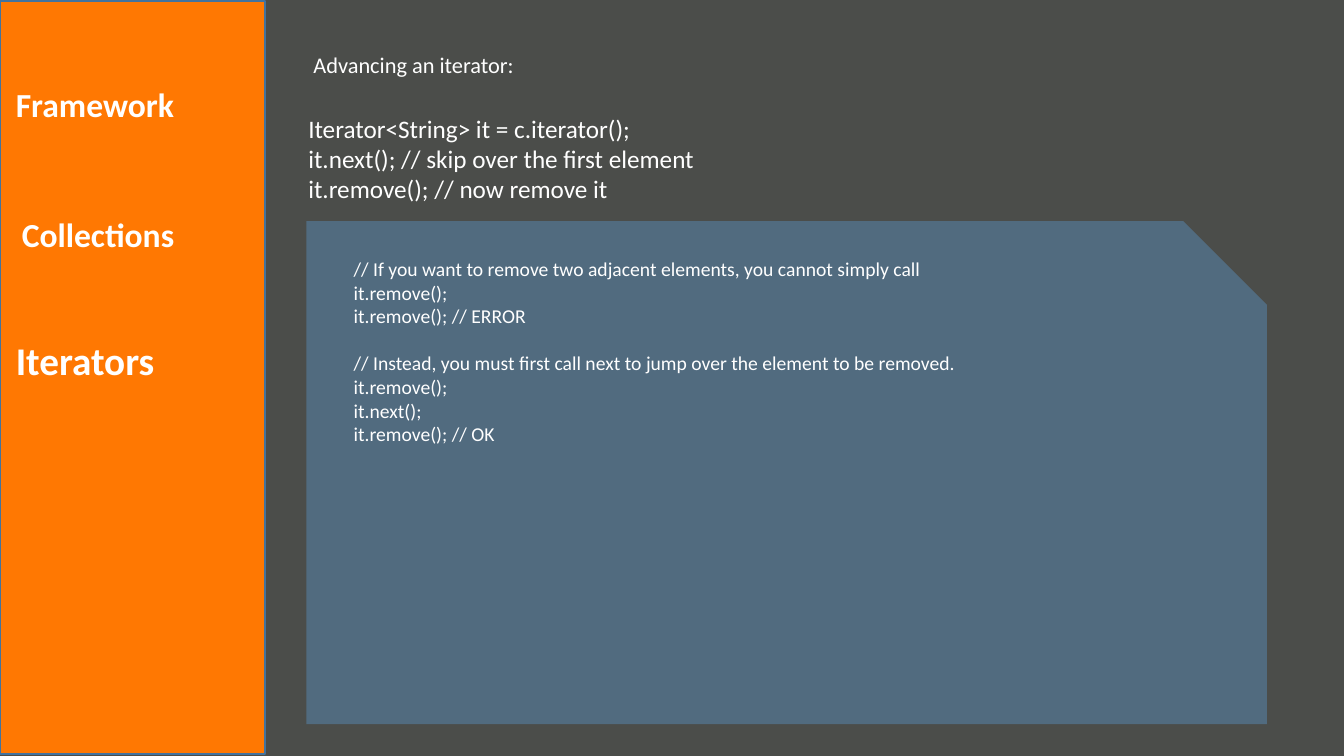
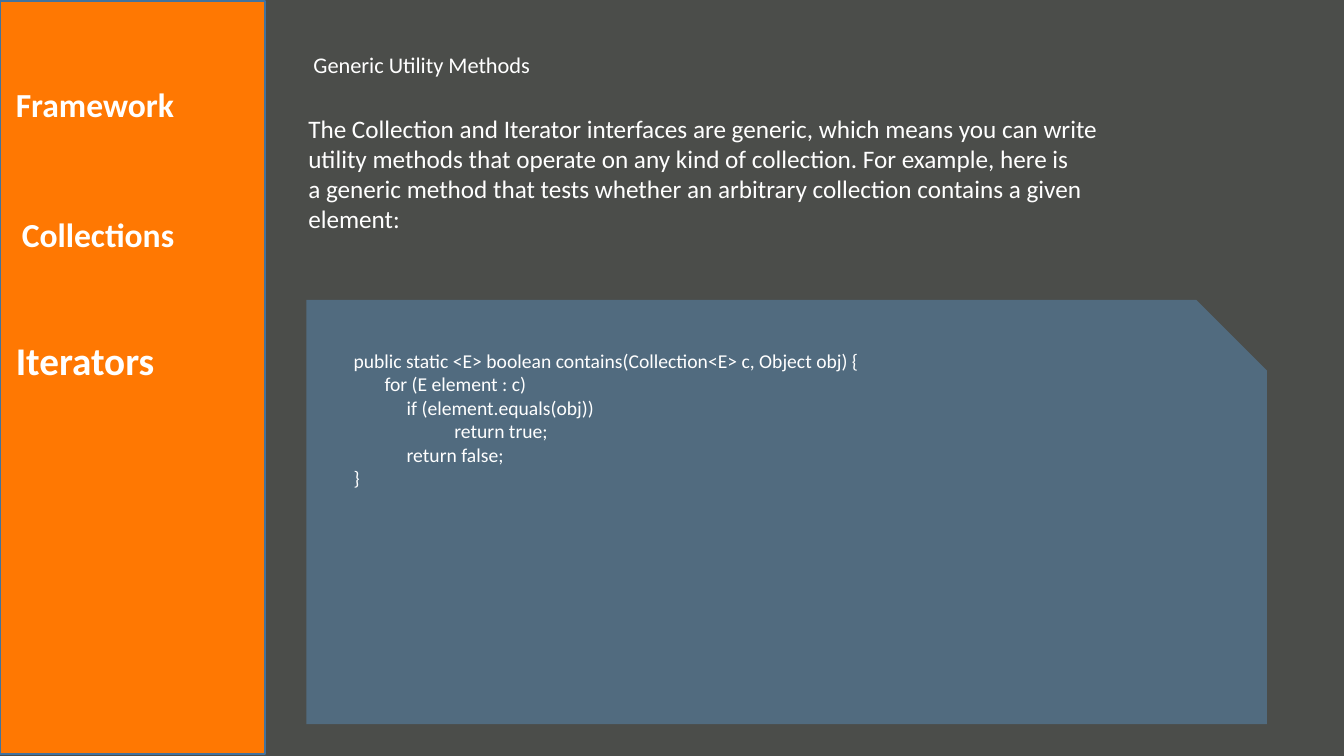
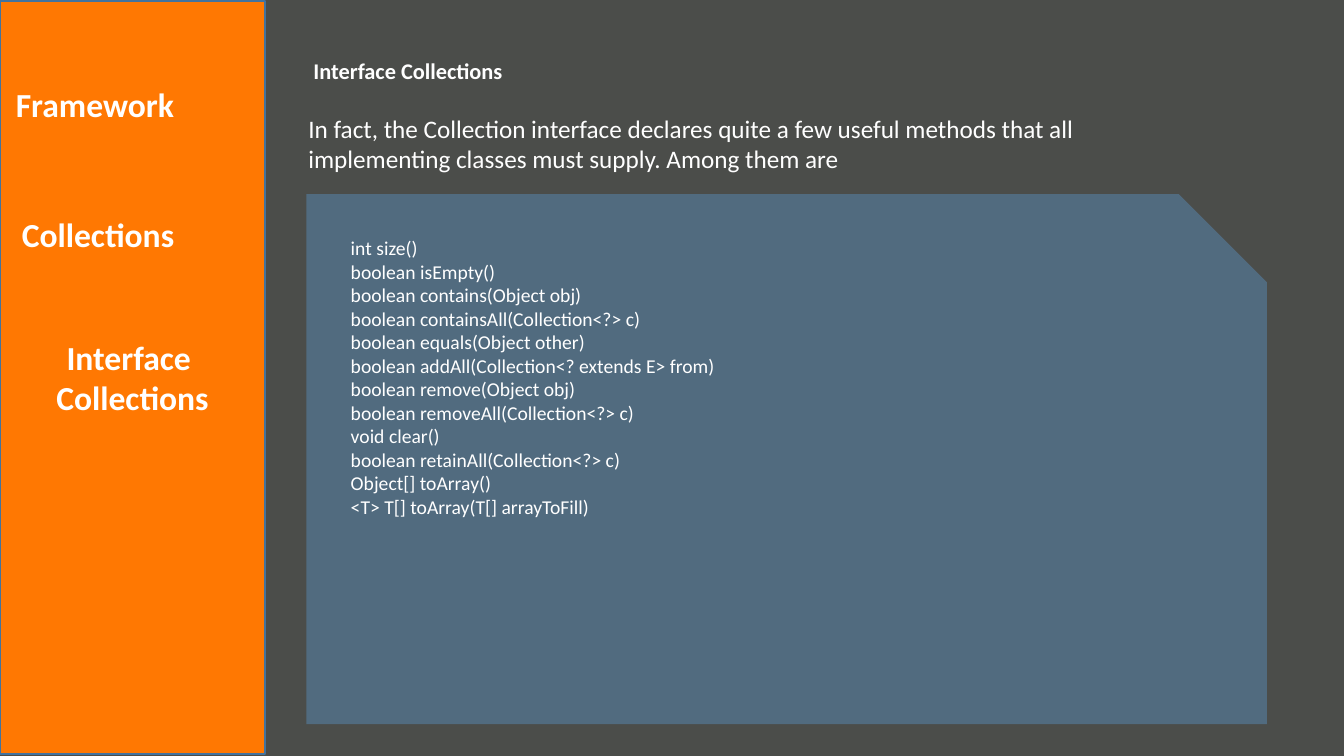
from pptx import Presentation
from pptx.dml.color import RGBColor
from pptx.enum.shapes import MSO_SHAPE as Shape
from pptx.enum.text import MSO_AUTO_SIZE as AutoSize, PP_ALIGN as Align
from pptx.oxml.ns import qn
from pptx.util import Cm, Pt
from lxml.etree import SubElement

BACKGROUND = RGBColor(0x4B, 0x4D, 0x4A)
ORANGE = RGBColor(0xFF, 0x78, 0x02)
OUTLINE = RGBColor(0x43, 0x73, 0x9E)
BLUE = RGBColor(0x5B, 0x9B, 0xD5)
WHITE = RGBColor(0xFF, 0xFF, 0xFF)
PANEL_ALPHA = 39000
PANEL_BOTTOM = 18.25

MENU = {"size": Pt(24), "bold": True}
TOPIC = {"size": Pt(28), "bold": True}
TITLE = {"size": Pt(16), "bold": False}
BOLD_TITLE = {"size": Pt(16), "bold": True}
INTRO = {"size": Pt(18), "bold": False}
CODE = {"size": Pt(14), "bold": False}
CODE_GAP = Pt(17)
TITLE_FRAME = {"margin_left": 0, "margin_top": Cm(0.03), "margin_right": 0, "margin_bottom": 0}
CENTERED = {"alignment": Align.CENTER}
TIGHT = {"line_spacing": 0.8}

PAGES = [
    {
        "title": "Advancing an iterator:", "title_font": TITLE, "title_format": TIGHT,
        "title_height": 0.58,
        "intro": [
            "Iterator<String> it = c.iterator();",
            "it.next(); // skip over the first element",
            "it.remove(); // now remove it",
        ],
        "intro_size": (23.93, 2.57),
        "topic": ["Iterators"], "topic_font": TOPIC, "topic_format": {}, "topic_height": 3.84,
        "panel_top": 5.57,
        "code_box": (8.66, 6.35, 21.62, 5.03),
        "code": [
            [
                "// If you want to remove two adjacent elements, you cannot simply call",
                "it.remove();",
                "it.remove(); // ERROR",
            ],
            [
                "// Instead, you must first call next to jump over the element to be removed.",
                "it.remove();",
                "it.next();",
                "it.remove(); // OK",
            ],
        ],
    },
    {
        "title": "Generic Utility Methods", "title_font": TITLE, "title_format": TIGHT,
        "title_height": 0.58,
        "intro": [
            "The Collection and Iterator interfaces are generic, which means you can write",
            "utility methods that operate on any kind of collection. For example, here is",
            "a generic method that tests whether an arbitrary collection contains a given",
            "element:",
        ],
        "intro_size": (25.6, 3.33),
        "topic": ["Iterators"], "topic_font": TOPIC, "topic_format": {}, "topic_height": 3.84,
        "panel_top": 7.56,
        "code_box": (8.66, 8.66, 21.62, 3.84),
        "code": [[
            "public static <E> boolean contains(Collection<E> c, Object obj) {",
            "       for (E element : c)",
            "            if (element.equals(obj))",
            " \treturn true;",
            "            return false;",
            "}",
        ]],
    },
    {
        "title": "Interface Collections", "title_font": BOLD_TITLE, "title_format": {},
        "title_height": 0.71,
        "intro": [
            "In fact, the Collection interface declares quite a few useful methods that all",
            "implementing classes must supply. Among them are",
        ],
        "intro_size": (25.6, 1.8),
        "topic": ["Interface ", "Collections"], "topic_font": MENU, "topic_format": CENTERED,
        "topic_height": 4.7,
        "panel_top": 4.89,
        "code_box": (8.59, 5.82, 21.62, 7.44),
        "code": [[
            "int size()",
            "boolean isEmpty()",
            "boolean contains(Object obj)",
            "boolean containsAll(Collection<?> c)",
            "boolean equals(Object other)",
            "boolean addAll(Collection<? extends E> from)",
            "boolean remove(Object obj)",
            "boolean removeAll(Collection<?> c)",
            "void clear()",
            "boolean retainAll(Collection<?> c)",
            "Object[] toArray()",
            "<T> T[] toArray(T[] arrayToFill)",
        ]],
    },
]


def add_shape(slide, kind, box, color):
    shape = slide.shapes.add_shape(kind, *map(Cm, box))
    shape.shadow.inherit = False
    shape.fill.solid()
    shape.fill.fore_color.rgb = color
    return shape


def add_text(slide, box, blocks, font, paragraph_format={}, frame_format={}):
    frame = slide.shapes.add_textbox(*map(Cm, box)).text_frame
    frame.word_wrap = True
    frame.auto_size = AutoSize.SHAPE_TO_FIT_TEXT
    for name, value in frame_format.items():
        setattr(frame, name, value)
    lines = [(line, b > 0 and i == 0) for b, block in enumerate(blocks) for i, line in enumerate(block)]
    for index, (line, starts_block) in enumerate(lines):
        paragraph = frame.add_paragraph() if index else frame.paragraphs[0]
        for name, value in paragraph_format.items():
            setattr(paragraph, name, value)
        if starts_block:
            paragraph.space_before = CODE_GAP
        if "\t" in line:
            tabs = SubElement(paragraph._p.get_or_add_pPr(), qn("a:tabLst"))
            SubElement(tabs, qn("a:tab"), pos=str(Cm(2.54)), algn="l")
        run = paragraph.add_run()
        run.text = line
        run.font.name = "Calibri"
        run.font.color.rgb = WHITE
        for name, value in font.items():
            setattr(run.font, name, value)


presentation = Presentation()
presentation.slide_width = Cm(33.87)
presentation.slide_height = Cm(19.05)
background = presentation.slide_master.background.fill
background.solid()
background.fore_color.rgb = BACKGROUND

for page in PAGES:
    slide = presentation.slides.add_slide(presentation.slide_layouts[6])

    sidebar = add_shape(slide, Shape.RECTANGLE, (0, 0.03, 6.68, 18.97), ORANGE)
    sidebar.line.color.rgb = OUTLINE
    sidebar.line.width = Pt(1)
    add_text(slide, (0.15, 1.98, 6.38, 2.31), [["Framework"]], MENU)
    add_text(slide, (0.3, 5.26, 6.38, 2.31), [["Collections"]], MENU)

    add_text(slide, (7.9, 1.4, 13.18, page["title_height"]), [[page["title"]]],
             page["title_font"], page["title_format"], TITLE_FRAME)
    add_text(slide, (7.52, 2.72, *page["intro_size"]), [page["intro"]], INTRO)

    panel_top = page["panel_top"]
    panel = add_shape(slide, Shape.SNIP_1_RECTANGLE,
                      (7.72, panel_top, 24.21, PANEL_BOTTOM - panel_top), BLUE)
    panel.line.fill.background()
    panel_color = panel.fill._xPr.find(qn("a:solidFill"))[0]
    SubElement(panel_color, qn("a:alpha"), val=str(PANEL_ALPHA))

    add_text(slide, (0.15, 8.36, 6.38, page["topic_height"]), [page["topic"]],
             page["topic_font"], page["topic_format"])
    add_text(slide, page["code_box"], page["code"], CODE)

presentation.save("out.pptx")
